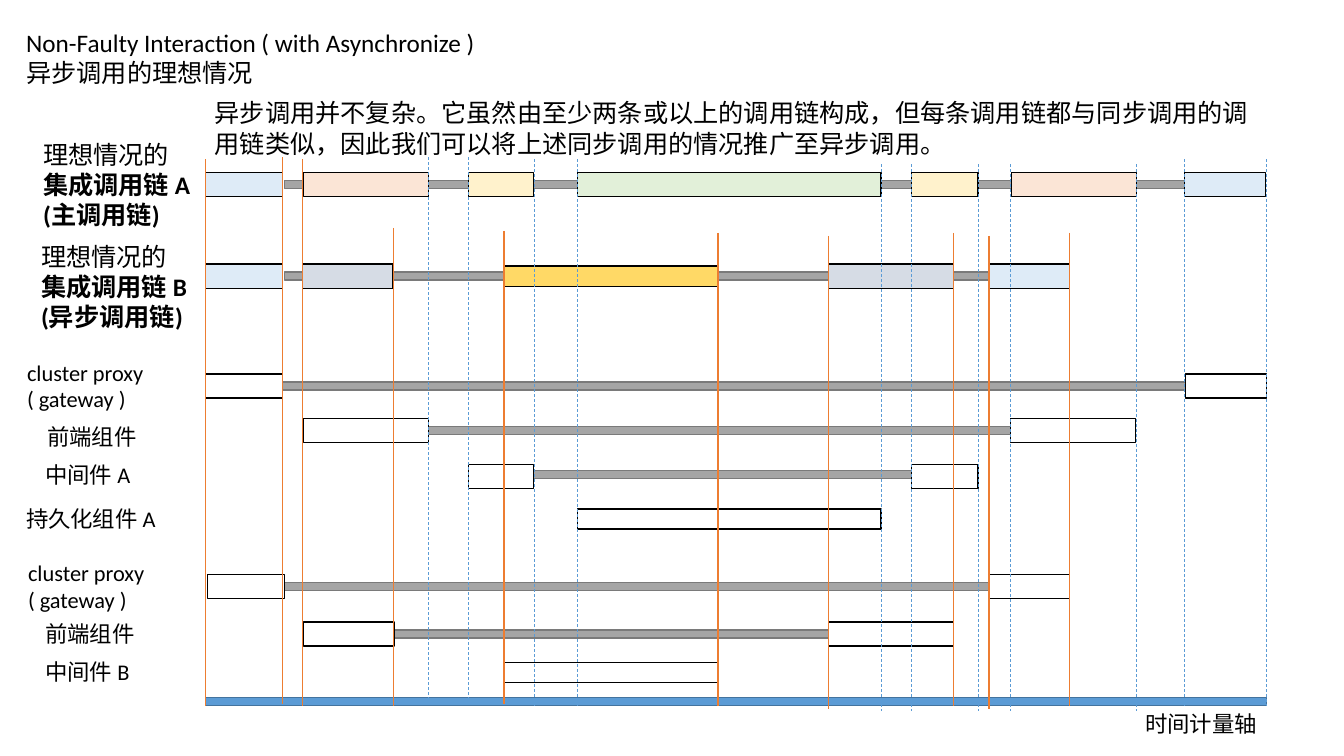
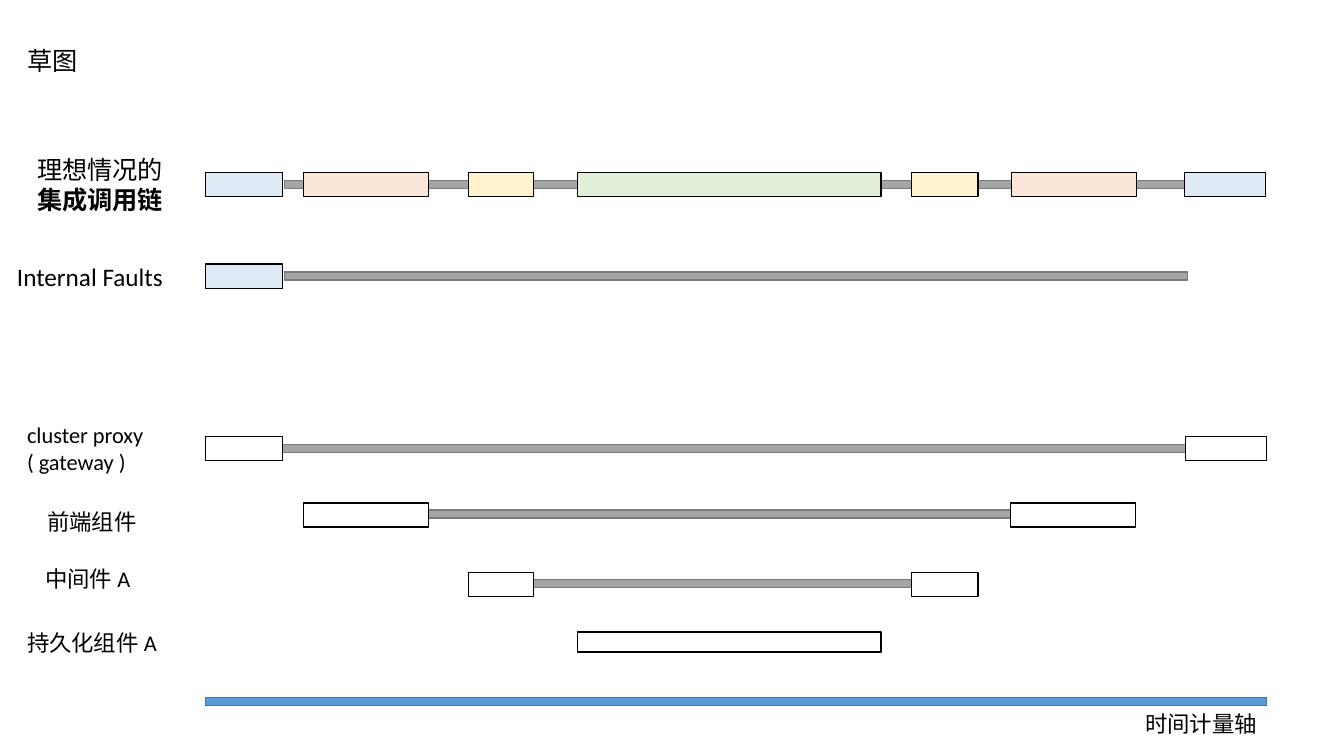
"""Build two timing diagrams of call chains over a shared time axis."""
from lxml import etree
from pptx import Presentation
from pptx import util as u
from pptx.dml.color import RGBColor
from pptx.enum import dml, shapes, text
from pptx.oxml import ns

PX = 9144
FONT = "Calibri"
BLACK, WHITE, BLUE, ORANGE = "000000", "FFFFFF", "5B9BD5", "ED7D31"
WAIT, WAIT_EDGE, AXIS_EDGE = "A5A5A5", "7A7A7A", "43739E"
SKY, PEACH, CREAM, MINT = "DEEBF7", "FBE5D6", "FFF2CC", "E2F0D9"
SLATE, GOLD = "D6DCE5", "FFD966"
BOX_H, SHORT_H, BAR_H = 24, 20, 8
AXIS = (204, 692, 1052, BAR_H)

# Each lane: waiting bar (left, width), then boxes (left, width, height, fill).
CHAIN_A = ((282, 896), [
    (204, 76, BOX_H, SKY), (301, 124, BOX_H, PEACH), (465, 64, BOX_H, CREAM),
    (573, 301, BOX_H, MINT), (904, 66, BOX_H, CREAM), (1003, 124, BOX_H, PEACH),
    (1175, 80, BOX_H, SKY)])
CHAIN_B = ((282, 699), [
    (204, 76, BOX_H, SKY), (300, 90, BOX_H, SLATE), (500, 212, SHORT_H, GOLD),
    (822, 124, BOX_H, SLATE), (981, 80, BOX_H, SKY)])
FAULTY = ((282, 896), [(204, 76, BOX_H, SKY)])
GATEWAY_A = ((280, 896), [(204, 76, BOX_H, WHITE), (1176, 80, BOX_H, WHITE)])
FRONT_A = ((425, 577), [(301, 124, BOX_H, WHITE), (1002, 124, BOX_H, WHITE)])
MIDDLE_A = ((529, 375), [(465, 64, BOX_H, WHITE), (904, 66, BOX_H, WHITE)])
STORE_A = (None, [(573, 301, SHORT_H, WHITE)])
GATEWAY_B = ((282, 699), [(206, 76, BOX_H, WHITE), (981, 80, BOX_H, WHITE)])
FRONT_B = ((391, 431), [(301, 90, BOX_H, WHITE), (822, 124, BOX_H, WHITE)])
MIDDLE_B = (None, [(500, 212, SHORT_H, WHITE)])

GATEWAY_LABEL = ["cluster proxy", "( gateway )"]
AXIS_LABEL = (["时间计量轴"], (1126, 700, 144, 37), 16)

SLIDES = [
    {
        "title": ["Non-Faulty Interaction ( with Asynchronize )", "异步调用的理想情况"],
        "title_at": (16, 22, 613, 71),
        "lanes": [(CHAIN_A, 183, 0), (CHAIN_B, 274, 0), (GATEWAY_A, 383, 0),
                  (FRONT_A, 427, 0), (MIDDLE_A, 473, -2), (STORE_A, 515, 0),
                  (GATEWAY_B, 582, 0), (FRONT_B, 629, 0), (MIDDLE_B, 667, 0)],
        "labels": [
            (["异步调用并不复杂。它虽然由至少两条或以上的调用链构成，但每条调用链都与同步调用的"
              "调用链类似，因此我们可以将上述同步调用的情况推广至异步调用。"],
             (203, 92, 1052, 71), 18),
            (["理想情况的", "集成调用链 A", "(主调用链)"], (33, 133, 173, 101), 18),
            (["理想情况的", "集成调用链 B", "(异步调用链)"], (31, 234, 173, 101), 18),
            (GATEWAY_LABEL, (17, 351, 157, 64), 16),
            (["前端组件"], (37, 415, 116, 37), 16),
            (["中间件 A"], (35, 453, 121, 37), 16),
            (["持久化组件 A"], (16, 496, 157, 37), 16),
            (GATEWAY_LABEL, (18, 550, 157, 64), 16),
            (["前端组件"], (35, 610, 121, 37), 16),
            (["中间件 B"], (35, 648, 121, 37), 16),
        ],
        "moments": [
            (BLUE, 158, 700, [530, 573, 1175, 1256]),
            (BLUE, 156, 698, [425, 465]),
            (BLUE, 163, 705, [874, 904, 970, 1002, 1127]),
            (ORANGE, 158, 700, [204, 300]),
            (ORANGE, 156, 698, [280]),
            (ORANGE, 226, 700, [390]),
            (ORANGE, 229, 698, [500]),
            (ORANGE, 231, 700, [712, 946, 1061]),
            (ORANGE, 234, 703, [822, 981]),
        ],
    },
    {
        "title": ["草图"],
        "title_at": (17, 40, 256, 40),
        "lanes": [(CHAIN_A, 183, 0), (FAULTY, 274, 0), (GATEWAY_A, 445, 0),
                  (FRONT_A, 511, -1), (MIDDLE_A, 580, -1), (STORE_A, 637, 0)],
        "labels": [
            (["理想情况的", "集成调用链"], (27, 148, 156, 71), 18),
            (["Internal Faults"], (7, 254, 197, 40), 18),
            (GATEWAY_LABEL, (17, 413, 157, 64), 16),
            (["前端组件"], (37, 499, 116, 37), 16),
            (["中间件 A"], (35, 556, 121, 37), 16),
            (["持久化组件 A"], (17, 619, 157, 37), 16),
        ],
        "moments": [],
    },
]
MOMENT_STYLES = {
    BLUE: {"width": u.Pt(0.5), "dash_style": dml.MSO_LINE.DASH},
    ORANGE: {"width": u.Pt(1)},
}
FRAME_FORMAT = {"word_wrap": True, "auto_size": text.MSO_AUTO_SIZE.NONE,
                "vertical_anchor": text.MSO_ANCHOR.TOP}


def rgb(value):
    return RGBColor.from_string(value)


def emu(lengths):
    return [length * PX for length in lengths]


def apply(target, formats):
    for name, value in formats.items():
        setattr(target, name, value)


def write(frame, lines, size, bold_rest=False):
    apply(frame, FRAME_FORMAT)
    for number, line in enumerate(lines):
        paragraph = frame.add_paragraph() if number else frame.paragraphs[0]
        paragraph.alignment = text.PP_ALIGN.LEFT
        run = paragraph.add_run()
        run.text = line
        apply(run.font, {"name": FONT, "size": u.Pt(size),
                         "bold": bold_rest and number > 0})
        run.font.color.rgb = rgb(BLACK)


def add_title(slide, lines, place):
    title = slide.shapes.title
    apply(title, dict(zip(("left", "top", "width", "height"), emu(place))))
    write(title.text_frame, lines, 18)


def add_label(slide, lines, place, size):
    label = slide.shapes.add_textbox(*emu(place))
    write(label.text_frame, lines, size, bold_rest=size == 18)


def add_block(slide, place, fill, edge):
    block = slide.shapes.add_shape(shapes.MSO_SHAPE.RECTANGLE, *emu(place))
    block.shadow.inherit = False
    block.fill.solid()
    block.fill.fore_color.rgb = rgb(fill)
    block.line.color.rgb = rgb(edge)
    block.line.width = u.Pt(1)


def add_lane(slide, lane, middle, bar_shift):
    bar, boxes = lane
    if bar:
        left, width = bar
        add_block(slide, (left, middle - BAR_H // 2 + bar_shift, width, BAR_H),
                  WAIT, WAIT_EDGE)
    for left, width, height, fill in boxes:
        add_block(slide, (left, middle - height // 2, width, height), fill, BLACK)


def add_moment(slide, x, top, bottom, color):
    moment = slide.shapes.add_connector(
        shapes.MSO_CONNECTOR.STRAIGHT, *emu((x, top, x, bottom)))
    moment.line.color.rgb = rgb(color)
    apply(moment.line, MOMENT_STYLES[color])
    etree.SubElement(moment._element.spPr, ns.qn("a:effectLst"))


def build_slide(deck, content):
    slide = deck.slides.add_slide(deck.slide_layouts[5])
    add_title(slide, content["title"], content["title_at"])
    for lane in content["lanes"]:
        add_lane(slide, *lane)
    add_block(slide, AXIS, BLUE, AXIS_EDGE)
    for label in content["labels"] + [AXIS_LABEL]:
        add_label(slide, *label)
    for color, top, bottom, positions in content["moments"]:
        for x in positions:
            add_moment(slide, x, top, bottom, color)


def main():
    deck = Presentation()
    deck.slide_width, deck.slide_height = emu((1333, 750))
    for content in SLIDES:
        build_slide(deck, content)
    deck.save("out.pptx")


if __name__ == "__main__":
    main()
